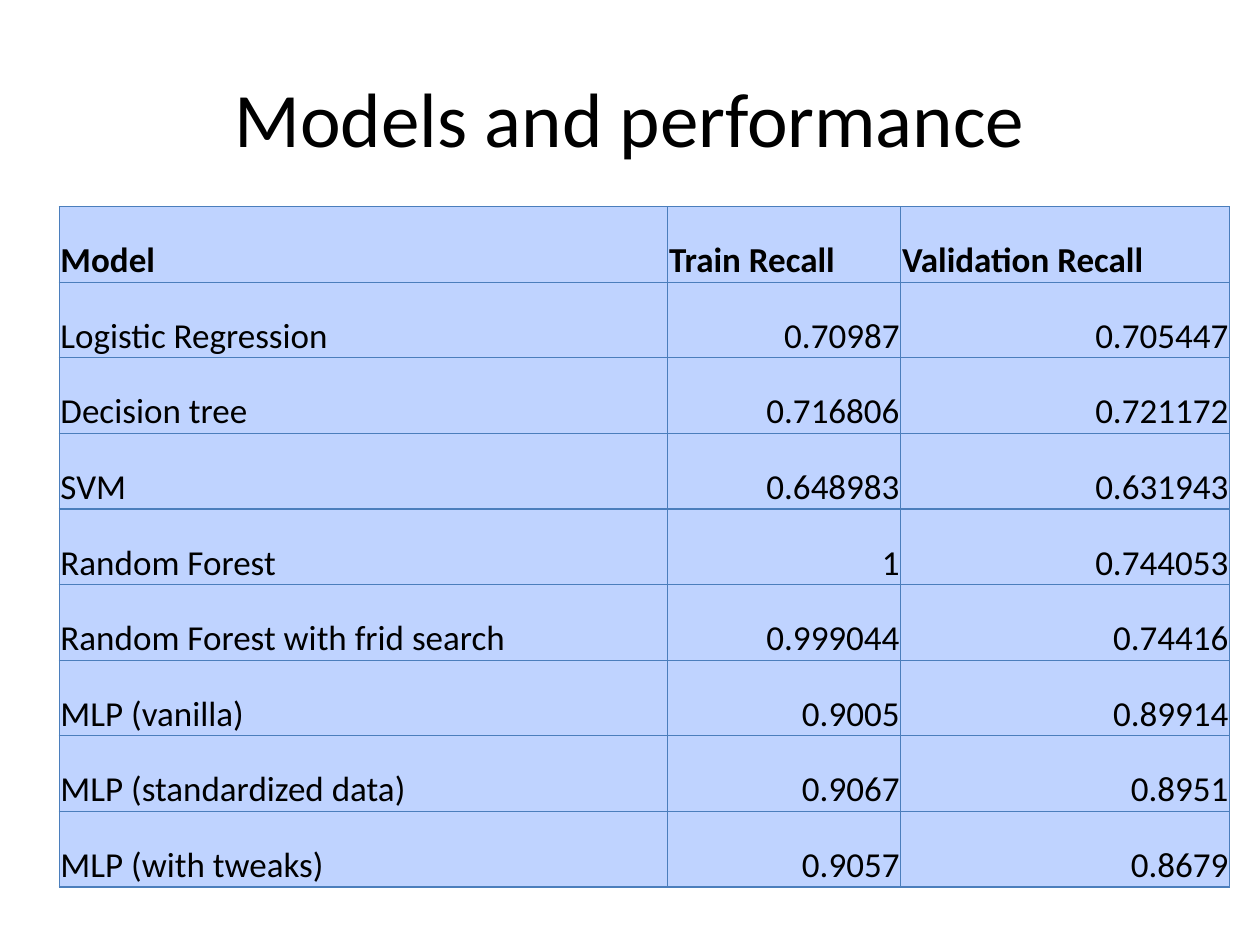
from lxml import etree
from pptx import Presentation
from pptx.dml.color import RGBColor
from pptx.enum.text import MSO_ANCHOR, PP_ALIGN
from pptx.oxml.ns import qn
from pptx.util import Inches, Pt

LEFT, CENTER, RIGHT = PP_ALIGN.LEFT, PP_ALIGN.CENTER, PP_ALIGN.RIGHT
MIDDLE, BOTTOM = MSO_ANCHOR.MIDDLE, MSO_ANCHOR.BOTTOM

FONT, INK, FILL, EDGE = "Calibri", "000000", "BFD3FF", "4B7EBC"
WIDTHS = [4.83, 1.85, 2.61]
ROW_HEIGHT = 0.6
ROWS = [
    ("Model", "Train Recall", "Validation Recall"),
    ("Logistic Regression", "0.70987", "0.705447"),
    ("Decision tree", "0.716806", "0.721172"),
    ("SVM", "0.648983", "0.631943"),
    ("Random Forest", "1", "0.744053"),
    ("Random Forest with frid search", "0.999044", "0.74416"),
    ("MLP (vanilla)", "0.9005", "0.89914"),
    ("MLP (standardized data)", "0.9067", "0.8951"),
    ("MLP (with tweaks)", "0.9057", "0.8679"),
]


def color(code):
    """Turn a hex string into a colour."""
    return RGBColor.from_string(code)


def write(frame, text, align, size, bold=False):
    """Write one formatted line into a text frame."""
    line = frame.paragraphs[0]
    line.alignment = align
    run = line.add_run()
    run.text = text
    form = {"name": FONT, "size": Pt(size), "bold": bold}
    for key, value in form.items():
        setattr(run.font, key, value)
    run.font.color.rgb = color(INK)


def add_title(slide, text):
    """Add the centred slide title."""
    box = slide.shapes.add_textbox(
        Inches(0.5), Inches(0.3), Inches(9), Inches(1.25))
    frame = box.text_frame
    frame.word_wrap = True
    frame.vertical_anchor = MIDDLE
    write(frame, text, CENTER, 44)


def add_edges(cell):
    """Draw a thin line on all four sides of a cell."""
    props = cell._tc.get_or_add_tcPr()
    for side in ("lnL", "lnR", "lnT", "lnB"):
        line = etree.SubElement(props, qn("a:" + side), w=str(Pt(0.75)))
        fill = etree.SubElement(line, qn("a:solidFill"))
        etree.SubElement(fill, qn("a:srgbClr"), val=EDGE)


def style_cell(cell):
    """Set margins, anchor, borders and fill of a cell."""
    form = {
        "margin_left": Inches(0.01),
        "margin_right": Inches(0.01),
        "margin_top": Inches(0.01),
        "margin_bottom": 0,
        "vertical_anchor": BOTTOM,
    }
    for key, value in form.items():
        setattr(cell, key, value)
    add_edges(cell)
    cell.fill.solid()
    cell.fill.fore_color.rgb = color(FILL)


def add_scores(slide):
    """Add the table of models and their recall."""
    table = slide.shapes.add_table(
        len(ROWS), len(WIDTHS), Inches(0.47), Inches(1.64),
        Inches(sum(WIDTHS)), Inches(ROW_HEIGHT * len(ROWS))).table
    table.horz_banding = False
    for col, width in zip(table.columns, WIDTHS):
        col.width = Inches(width)
    for r, row in enumerate(ROWS):
        table.rows[r].height = Inches(ROW_HEIGHT)
        for c, text in enumerate(row):
            cell = table.cell(r, c)
            style_cell(cell)
            align = RIGHT if r and c else LEFT
            write(cell.text_frame, text, align, 20, bold=r == 0)


def main():
    """Build and save the slide."""
    deck = Presentation()
    deck.slide_width, deck.slide_height = Inches(10), Inches(7.5)
    slide = deck.slides.add_slide(deck.slide_layouts[6])
    add_title(slide, "Models and performance")
    add_scores(slide)
    deck.save("out.pptx")


main()
